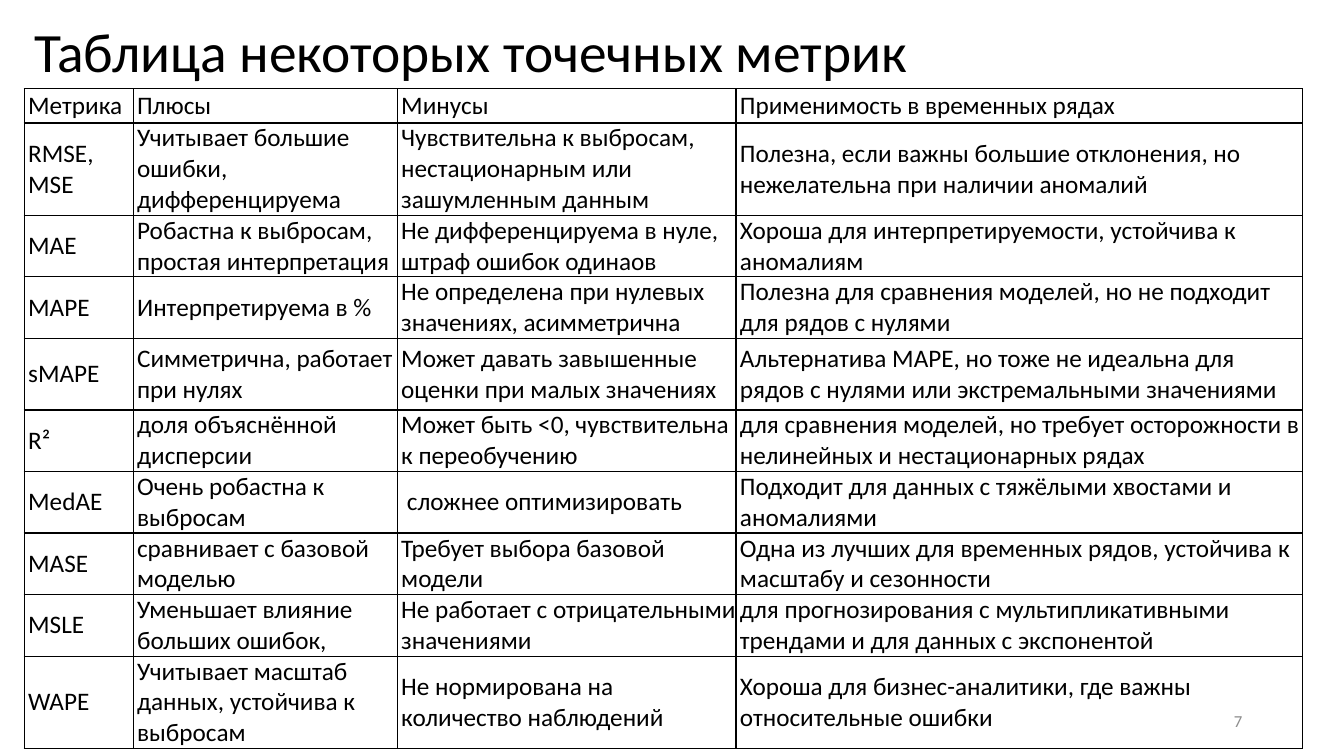
from dataclasses import dataclass

from lxml import etree
from pptx import Presentation
from pptx.dml.color import RGBColor
from pptx.enum.text import MSO_ANCHOR, MSO_AUTO_SIZE, PP_ALIGN
from pptx.oxml.ns import qn
from pptx.util import Inches, Pt

MIDDLE = MSO_ANCHOR.MIDDLE
NO_AUTOFIT = MSO_AUTO_SIZE.NONE
LEFT = PP_ALIGN.LEFT
RIGHT = PP_ALIGN.RIGHT
TITLE_ONLY_LAYOUT = 5


@dataclass(frozen=True)
class Theme:
    """Colours, font and type sizes of the slide."""

    font: str = "Calibri"
    ink: str = "000000"
    muted: str = "8C8C8C"
    title_size: float = 39.6
    table_size: float = 18
    number_size: float = 12
    border_width: float = 1


THEME = Theme()

COLUMN_WIDTHS = (1.08, 2.62, 3.36, 5.62)
HEADER_HEIGHT = 0.34
TWO_LINES = 0.61
TWO_LINES_LOOSE = 0.71
THREE_LINES = 0.91

METRIC_ROWS = (
    (HEADER_HEIGHT, "Метрика", "Плюсы", "Минусы", "Применимость в временных рядах"),
    (THREE_LINES, "RMSE, MSE", "Учитывает большие ошибки, дифференцируема",
     "Чувствительна к выбросам, нестационарным или зашумленным данным",
     "Полезна, если важны большие отклонения, но нежелательна при наличии аномалий"),
    (TWO_LINES, "MAE", "Робастна к выбросам, простая интерпретация",
     "Не дифференцируема в нуле, штраф ошибок одинаов",
     "Хороша для интерпретируемости, устойчива к аномалиям"),
    (TWO_LINES, "MAPE", "Интерпретируема в %",
     "Не определена при нулевых значениях, асимметрична",
     "Полезна для сравнения моделей, но не подходит для рядов с нулями"),
    (TWO_LINES_LOOSE, "sMAPE", "Симметрична, работает при нулях",
     "Может давать завышенные оценки при малых значениях",
     "Альтернатива MAPE, но тоже не идеальна для рядов с нулями или экстремальными значениями"),
    (TWO_LINES, "R²", "доля объяснённой дисперсии",
     "Может быть <0, чувствительна к переобучению",
     "для сравнения моделей, но требует осторожности в нелинейных и нестационарных рядах"),
    (TWO_LINES, "MedAE", "Очень робастна к выбросам",
     " сложнее оптимизировать",
     "Подходит для данных с тяжёлыми хвостами и аномалиями"),
    (TWO_LINES, "MASE", "сравнивает с базовой моделью",
     "Требует выбора базовой модели",
     "Одна из лучших для временных рядов, устойчива к масштабу и сезонности"),
    (TWO_LINES, "MSLE", "Уменьшает влияние больших ошибок,",
     "Не работает с отрицательными значениями",
     "для прогнозирования с мультипликативными трендами и для данных с экспонентой"),
    (THREE_LINES, "WAPE", "Учитывает масштаб данных, устойчива к выбросам",
     "Не нормирована на количество наблюдений",
     "Хороша для бизнес-аналитики, где важны относительные ошибки"),
)


def write_text(text_frame, text, size, color=THEME.ink, alignment=LEFT):
    """Put one formatted run into the first paragraph and return the paragraph."""
    paragraph = text_frame.paragraphs[0]
    paragraph.alignment = alignment
    run = paragraph.add_run()
    run.text = text
    run.font.name = THEME.font
    run.font.size = Pt(size)
    run.font.color.rgb = RGBColor.from_string(color)
    return paragraph


def add_title(slide, text):
    """Place and fill the title placeholder."""
    title = slide.shapes.title
    title.left, title.top = Inches(0.24), Inches(0.31)
    title.width, title.height = Inches(12.18), Inches(0.47)
    text_frame = title.text_frame
    text_frame.auto_size = NO_AUTOFIT
    text_frame.vertical_anchor = MIDDLE
    write_text(text_frame, text, THEME.title_size).line_spacing = 0.9


def add_borders(cell):
    """Draw a thin line on each side of a cell."""
    properties = cell._tc.get_or_add_tcPr()
    for position, side in enumerate(("lnL", "lnR", "lnT", "lnB")):
        line = etree.Element(qn(f"a:{side}"), w=str(Pt(THEME.border_width)))
        fill = etree.SubElement(line, qn("a:solidFill"))
        etree.SubElement(fill, qn("a:srgbClr"), val=THEME.ink)
        properties.insert(position, line)


def fill_cell(cell, text):
    """Format one table cell and write its text."""
    cell.fill.background()
    cell.vertical_anchor = MIDDLE
    cell.margin_left = Inches(0.04)
    cell.margin_right = cell.margin_top = cell.margin_bottom = 0
    write_text(cell.text_frame, text, THEME.table_size)
    add_borders(cell)


def add_metric_table(slide):
    """Add the table of metrics."""
    total_height = sum(row[0] for row in METRIC_ROWS)
    table = slide.shapes.add_table(
        len(METRIC_ROWS), len(COLUMN_WIDTHS), Inches(0.24), Inches(0.88),
        Inches(sum(COLUMN_WIDTHS)), Inches(total_height)).table
    table.first_row = False
    table.horz_banding = False
    for column, width in zip(table.columns, COLUMN_WIDTHS):
        column.width = Inches(width)
    for row, (height, *texts) in zip(table.rows, METRIC_ROWS):
        row.height = Inches(height)
        for cell, text in zip(row.cells, texts):
            fill_cell(cell, text)


def add_slide_number(slide, number):
    """Add the slide number at the lower right."""
    box = slide.shapes.add_textbox(Inches(9.42), Inches(6.95), Inches(3), Inches(0.4))
    text_frame = box.text_frame
    text_frame.word_wrap = True
    text_frame.vertical_anchor = MIDDLE
    write_text(text_frame, number, THEME.number_size, THEME.muted, RIGHT)


def main():
    """Build and save the presentation."""
    presentation = Presentation()
    presentation.slide_width = Inches(13.33)
    presentation.slide_height = Inches(7.5)
    slide = presentation.slides.add_slide(presentation.slide_layouts[TITLE_ONLY_LAYOUT])
    add_title(slide, "Таблица некоторых точечных метрик")
    add_metric_table(slide)
    add_slide_number(slide, "7")
    presentation.save("out.pptx")


if __name__ == "__main__":
    main()
